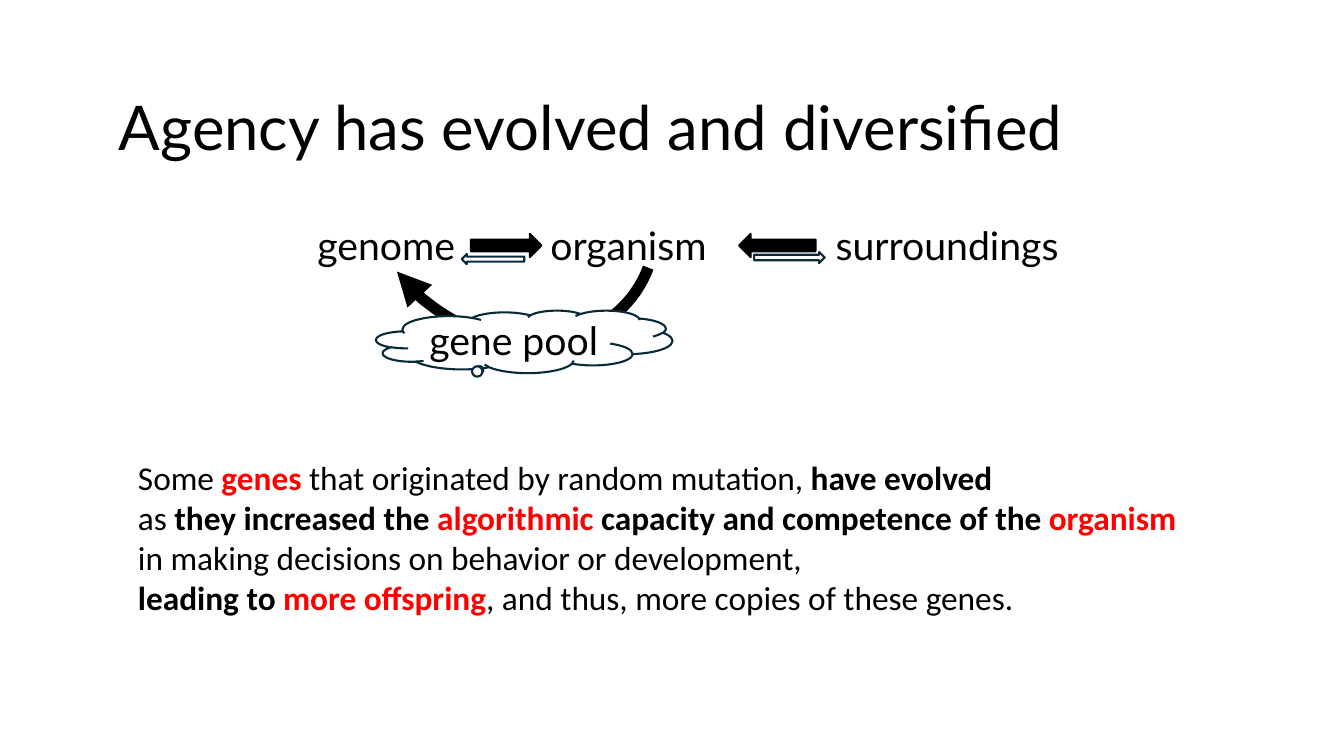
from pptx import Presentation
from pptx.dml.color import RGBColor
from pptx.enum.shapes import MSO_SHAPE
from pptx.enum.text import MSO_ANCHOR, MSO_AUTO_SIZE, PP_ALIGN
from pptx.oxml.ns import qn
from pptx.util import Inches, Pt
from lxml import etree

ARC = MSO_SHAPE.ARC
ARROW = MSO_SHAPE.RIGHT_ARROW
CLOUD = MSO_SHAPE.CLOUD_CALLOUT
TOP, MIDDLE = MSO_ANCHOR.TOP, MSO_ANCHOR.MIDDLE
CENTER = PP_ALIGN.CENTER
GROW = MSO_AUTO_SIZE.SHAPE_TO_FIT_TEXT

BLACK, WHITE, RED, NAVY = "000000", "FFFFFF", "FF0000", "092A39"


def rgb(value):
    return RGBColor.from_string(value)


class SlideBuilder:
    heading_font = "Lato"
    body_font = "Calibri"
    label_size = 28

    def __init__(self, slide):
        self.slide = slide

    def run(self, p, text, size, font, color=BLACK, bold=False):
        r = p.add_run()
        r.text = text
        r.font.size = Pt(size)
        r.font.name = font
        r.font.bold = bold
        r.font.color.rgb = rgb(color)

    def text_box(self, x, y, w, h, anchor=TOP, wrap=True):
        sp = self.slide.shapes.add_textbox(Inches(x), Inches(y), Inches(w), Inches(h))
        tf = sp.text_frame
        tf.word_wrap = wrap
        tf.vertical_anchor = anchor
        return tf

    def title(self, text, x, y, w, h):
        p = self.text_box(x, y, w, h, MIDDLE).paragraphs[0]
        p.line_spacing = 0.9
        self.run(p, text, 44, self.heading_font)

    def label(self, text, x, y, w, h):
        tf = self.text_box(x, y, w, h, wrap=False)
        tf.auto_size = GROW
        self.run(tf.paragraphs[0], text, self.label_size, self.heading_font)

    def body(self, lines, x, y, w, h):
        tf = self.text_box(x, y, w, h)
        for i, line in enumerate(lines):
            p = tf.add_paragraph() if i else tf.paragraphs[0]
            for text, color, bold in line:
                self.run(p, text, 23.8, self.body_font, color, bold)

    def shape(self, kind, x, y, w, h, line, fill=None, weight=1.5, rotation=0, adjustments=()):
        sp = self.slide.shapes.add_shape(kind, Inches(x), Inches(y), Inches(w), Inches(h))
        sp.shadow.inherit = False
        sp.rotation = rotation
        for i, value in enumerate(adjustments):
            sp.adjustments[i] = value
        if fill:
            sp.fill.solid()
            sp.fill.fore_color.rgb = rgb(fill)
        else:
            sp.fill.background()
        sp.line.color.rgb = rgb(line)
        sp.line.width = Pt(weight)
        return sp

    def curved_arrow(self, x, y, w, h, rotation, adjustments):
        sp = self.shape(ARC, x, y, w, h, BLACK, WHITE, 8, rotation, adjustments)
        ln = sp.line._get_or_add_ln()
        etree.SubElement(ln, qn("a:tailEnd"), type="triangle")

    def cloud(self, text, x, y, w, h, adjustments):
        sp = self.shape(CLOUD, x, y, w, h, NAVY, WHITE, adjustments=adjustments)
        tf = sp.text_frame
        tf.vertical_anchor = MIDDLE
        p = tf.paragraphs[0]
        p.alignment = CENTER
        self.run(p, text, self.label_size, self.heading_font)


def main():
    prs = Presentation()
    prs.slide_width, prs.slide_height = Inches(13.33), Inches(7.5)
    s = SlideBuilder(prs.slides.add_slide(prs.slide_layouts[6]))

    s.body([
        [("Some ", BLACK, False), ("genes ", RED, True),
         ("that originated by random mutation,", BLACK, False), (" have evolved", BLACK, True)],
        [("as ", BLACK, False), ("they increased the ", BLACK, True), ("algorithmic ", RED, True),
         ("capacity and competence of the ", BLACK, True), ("organism", RED, True)],
        [("in making decisions on behavior or development,", BLACK, False)],
        [("leading to ", BLACK, True), ("more offspring", RED, True),
         (", and thus, more copies of these genes.", BLACK, False)],
    ], 1.27, 4.49, 10.78, 1.74)

    s.curved_arrow(3.77, 0.48, 2.57, 3.06, 127, (154.89, 12.94))

    for x, w, rotation in ((4.67, 0.7, 0), (7.33, 0.76, 180)):
        s.shape(ARROW, x, 2.32, w, 0.23, BLACK, BLACK, rotation=rotation)

    for text, x, w in (("genome", 3.05, 1.57), ("organism", 5.36, 1.78), ("surroundings", 8.19, 2.43)):
        s.label(text, x, 2.15, w, 0.57)

    for x, y, w, h, rotation in ((7.48, 2.5, 0.7, 0.11, 0), (4.58, 2.52, 0.62, 0.1, 180)):
        s.shape(ARROW, x, y, w, h, NAVY, rotation=rotation)

    s.cloud("gene pool", 3.73, 3.08, 2.94, 0.62, (-0.15, 0.45))
    s.title("Agency has evolved and diversified", 1.08, 0.57, 11.5, 1.45)

    prs.save("out.pptx")


if __name__ == "__main__":
    main()
